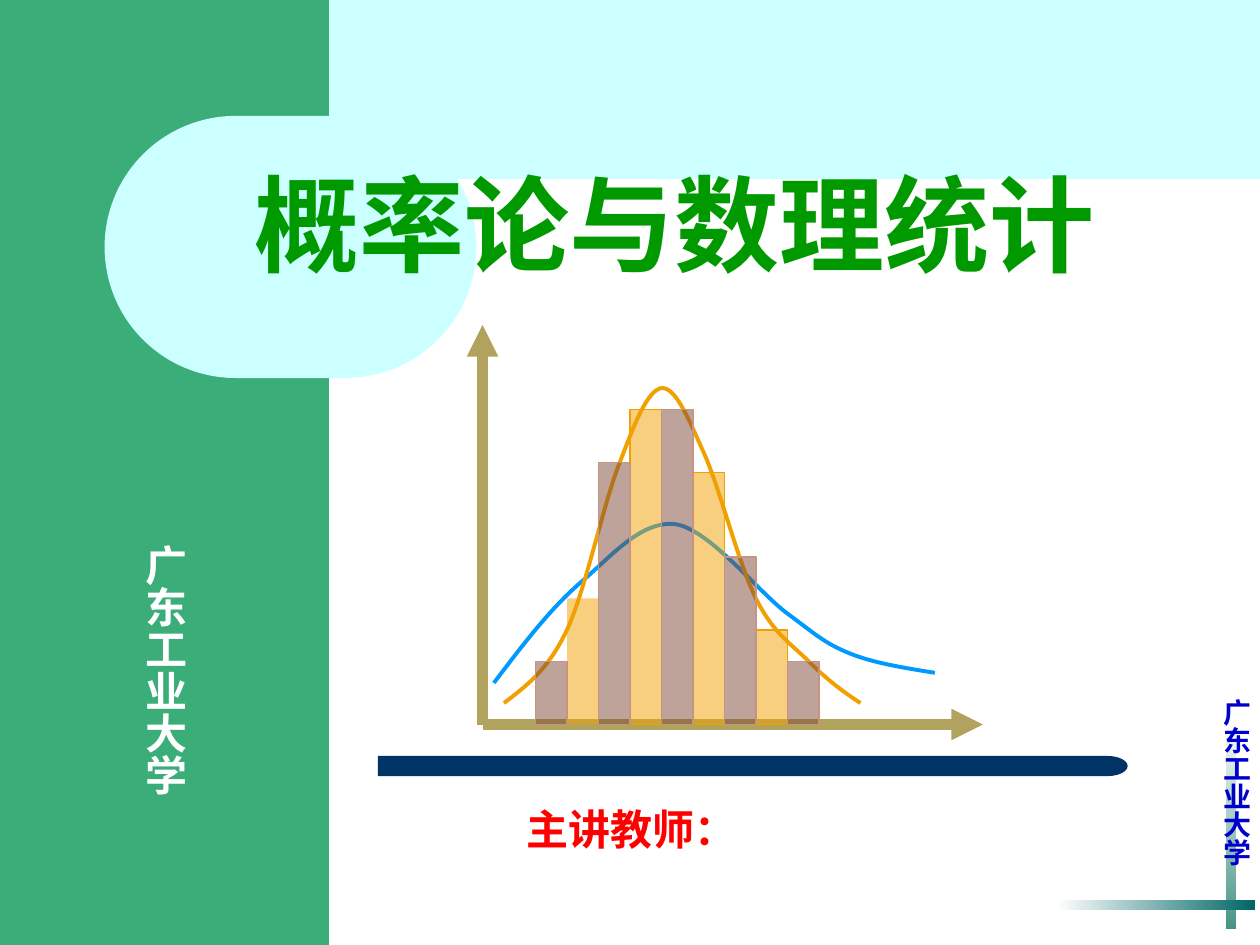
from lxml import etree
from pptx import Presentation
from pptx.dml.color import RGBColor
from pptx.enum.shapes import MSO_CONNECTOR as CONN, MSO_SHAPE as SHAPE
from pptx.enum.text import MSO_AUTO_SIZE as AUTO
from pptx.oxml.ns import qn
from pptx.util import Inches, Pt

BASE_Y = 5.75
BAR_W = 0.25
BAR_LEFT = 4.25
BAR_HEIGHTS = [0.5, 1, 2.08, 2.5, 2.5, 2, 1.33, 0.75, 0.5]
ORANGE, BROWN, ROSE = "F0A000", "7C4836", "C89380"

# Curves: a start point, then Bezier points in threes
WIDE_CURVE = [
    (3.92, 5.42), (4.14, 5.13), (4.36, 4.84), (4.6, 4.63),
    (4.84, 4.43), (5.08, 4.13), (5.36, 4.16),
    (5.63, 4.2), (6.02, 4.7), (6.25, 4.87),
    (6.48, 5.04), (6.54, 5.1), (6.73, 5.18),
    (6.92, 5.26), (7.17, 5.3), (7.42, 5.34)]
NARROW_CURVE = [
    (4, 5.58), (4.17, 5.45), (4.35, 5.32), (4.5, 5),
    (4.65, 4.68), (4.79, 3.99), (4.92, 3.67),
    (5.04, 3.35), (5.14, 3.1), (5.25, 3.08),
    (5.36, 3.07), (5.46, 3.31), (5.58, 3.58),
    (5.71, 3.86), (5.86, 4.47), (6, 4.75),
    (6.14, 5.03), (6.28, 5.11), (6.42, 5.25),
    (6.56, 5.39), (6.69, 5.49), (6.83, 5.58)]


def rgb(color):
    return RGBColor.from_string(color)


def add_block(s, x, y, w, h, fill, kind=SHAPE.RECTANGLE, line=None, alpha=None):
    sp = s.shapes.add_shape(kind, Inches(x), Inches(y), Inches(w), Inches(h))
    sp.shadow.inherit = False
    sp.fill.solid()
    sp.fill.fore_color.rgb = rgb(fill)
    if alpha is not None:
        clr = sp.fill._xPr.find(f".//{qn('a:srgbClr')}")
        etree.SubElement(clr, qn("a:alpha"), val=str(alpha * 1000))
    if line:
        sp.line.color.rgb = rgb(line)
        sp.line.width = Pt(0.75)
    else:
        sp.line.fill.background()
    return sp


def add_fade(s, x, y, w, h, color, angle):
    """Block that fades from white to a colour."""
    sp = add_block(s, x, y, w, h, color)
    sp.fill.gradient()
    sp.fill.gradient_angle = angle
    for stop, c in zip(sp.fill.gradient_stops, ("FFFFFF", color)):
        stop.color.rgb = rgb(c)


def add_text(s, text, x, y, w, h, *, size, color, font, vertical=False,
             wrap=True, spacing=None, grow=True):
    sp = s.shapes.add_textbox(Inches(x), Inches(y), Inches(w), Inches(h))
    tf = sp.text_frame
    tf.word_wrap = wrap
    tf.auto_size = AUTO.SHAPE_TO_FIT_TEXT if grow else AUTO.NONE
    if vertical:
        tf._txBody.bodyPr.set("vert", "eaVert")
        tf.margin_left = tf.margin_right = Inches(0.05)
        tf.margin_top = tf.margin_bottom = Inches(0.1)
    p = tf.paragraphs[0]
    if spacing:
        p.line_spacing = spacing
    r = p.add_run()
    r.text = text
    r.font.size = Pt(size)
    r.font.bold = True
    r.font.name = font
    r.font.color.rgb = rgb(color)


def add_axis(s, x, y):
    """Arrow from the chart origin to the given point."""
    cn = s.shapes.add_connector(CONN.STRAIGHT, Inches(3.83), Inches(BASE_Y),
                                Inches(x), Inches(y))
    cn.line.color.rgb = rgb("B1A35D")
    cn.line.width = Pt(6)
    etree.SubElement(cn.line._get_or_add_ln(), qn("a:tailEnd"), type="triangle")
    etree.SubElement(cn._element.spPr, qn("a:effectLst"))


def add_curve(s, points, color):
    start, *rest = [(Inches(x), Inches(y)) for x, y in points]
    fb = s.shapes.build_freeform(*start)
    fb.add_line_segments(rest, close=False)
    sp = fb.convert_to_shape()
    # Join each three segments into one Bezier segment
    segments = list(sp._element.iter(qn("a:lnTo")))
    for i in range(0, len(segments), 3):
        cubic = etree.Element(qn("a:cubicBezTo"))
        segments[i].addprevious(cubic)
        for seg in segments[i:i + 3]:
            cubic.append(seg[0])
            seg.getparent().remove(seg)
    sp.shadow.inherit = False
    sp.fill.background()
    sp.line.color.rgb = rgb(color)
    sp.line.width = Pt(2.25)


def add_histogram(s):
    add_axis(s, 3.83, 2.58)
    add_axis(s, 7.8, BASE_Y)
    add_curve(s, WIDE_CURVE, "0099FF")
    add_curve(s, NARROW_CURVE, ORANGE)
    # Orange bars lie behind the brown ones
    for first, fill, line in ((1, ORANGE, ORANGE), (0, BROWN, ROSE)):
        for i in range(first, len(BAR_HEIGHTS), 2):
            h = BAR_HEIGHTS[i]
            add_block(s, BAR_LEFT + i * BAR_W, BASE_Y - h, BAR_W, h, fill,
                      line=None if i == 1 else line, alpha=50)


def main():
    prs = Presentation()
    prs.slide_width, prs.slide_height = Inches(10), Inches(7.5)
    s = prs.slides.add_slide(prs.slide_layouts[6])

    # Corner cross with the university name
    add_fade(s, 9.73, 5.72, 0.08, 1.65, "489486", 270)
    add_fade(s, 8.39, 7.14, 1.57, 0.08, "006666", 0)
    add_text(s, "广东工业大学", 9.54, 5.45, 0.46, 1.43, size=16, color="0000CC",
             font="Times New Roman", vertical=True, wrap=False)

    # Top band, histogram and side panel
    add_block(s, 0.33, 0, 9.67, 1.42, "CCFFFF")
    add_histogram(s)
    add_block(s, 0, 0, 2.61, 7.5, "3BAD79")

    # Dark rule with a rounded end
    rule = add_block(s, 3, 6, 5.64, 0.16, "003366", SHAPE.ROUNDED_RECTANGLE)
    rule.adjustments[0] = 0
    add_block(s, 8.63, 6, 0.32, 0.16, "003366", SHAPE.FLOWCHART_DELAY)

    # University and teacher
    add_text(s, "广东工业大学", 0.35, 4.22, 1.21, 2.29, size=24, color="FFFFFF",
             font="Arial", vertical=True)
    add_text(s, "主讲教师：", 4.08, 6.33, 3.03, 0.5, size=24, color="FF0000",
             font="Times New Roman")

    # Title on its pill
    pill = add_block(s, 0.83, 0.92, 2.95, 2.08, "CCFFFF", SHAPE.ROUNDED_RECTANGLE)
    pill.adjustments[0] = 0.5
    add_text(s, "概率论与数理统计", 1.92, 1.33, 7.33, 1.17, size=60, color="009900",
             font="Arial", spacing=0.9, grow=False)

    prs.save("out.pptx")


if __name__ == "__main__":
    main()
